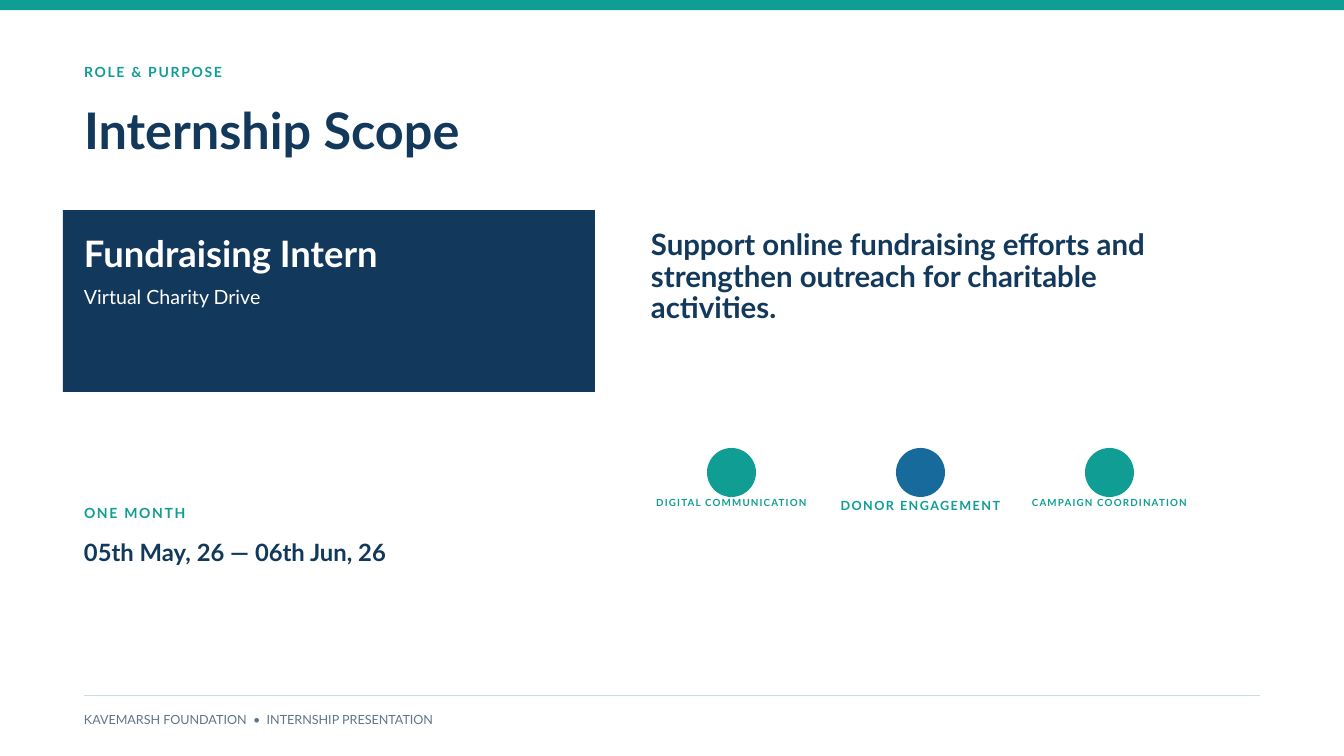
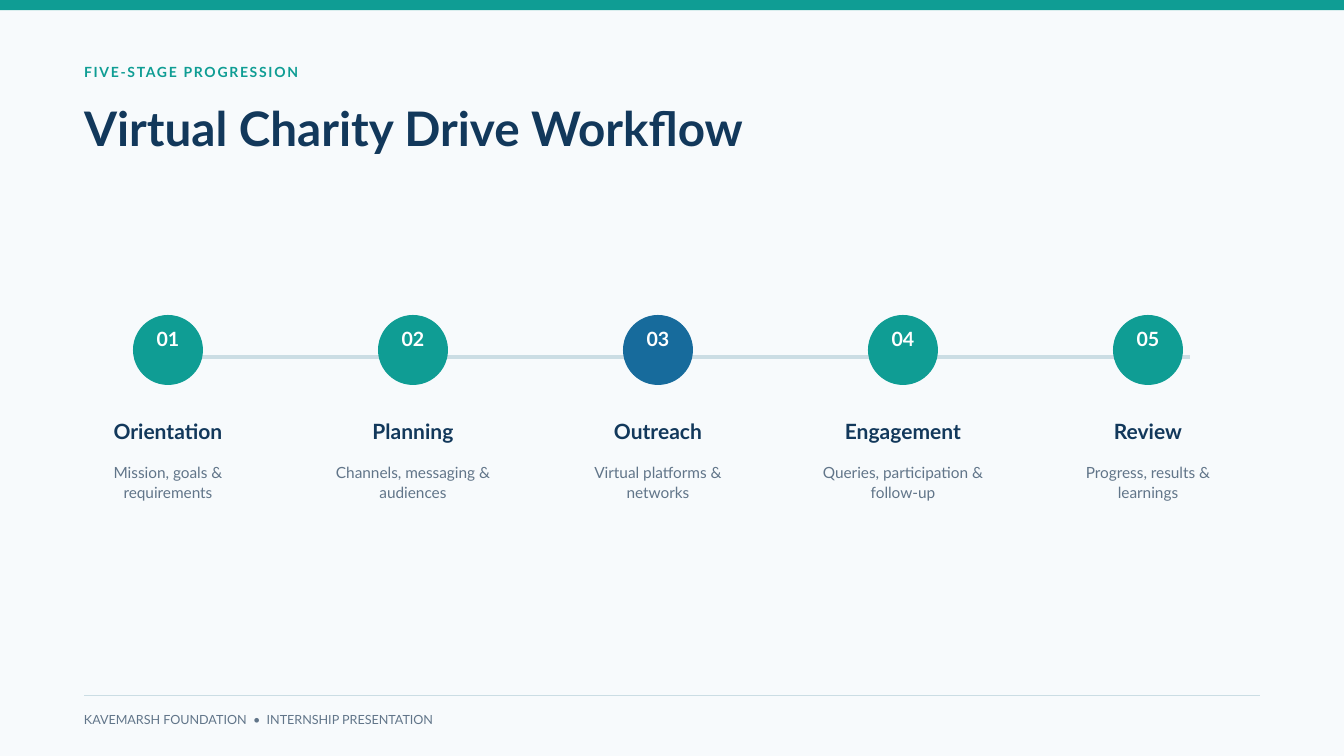
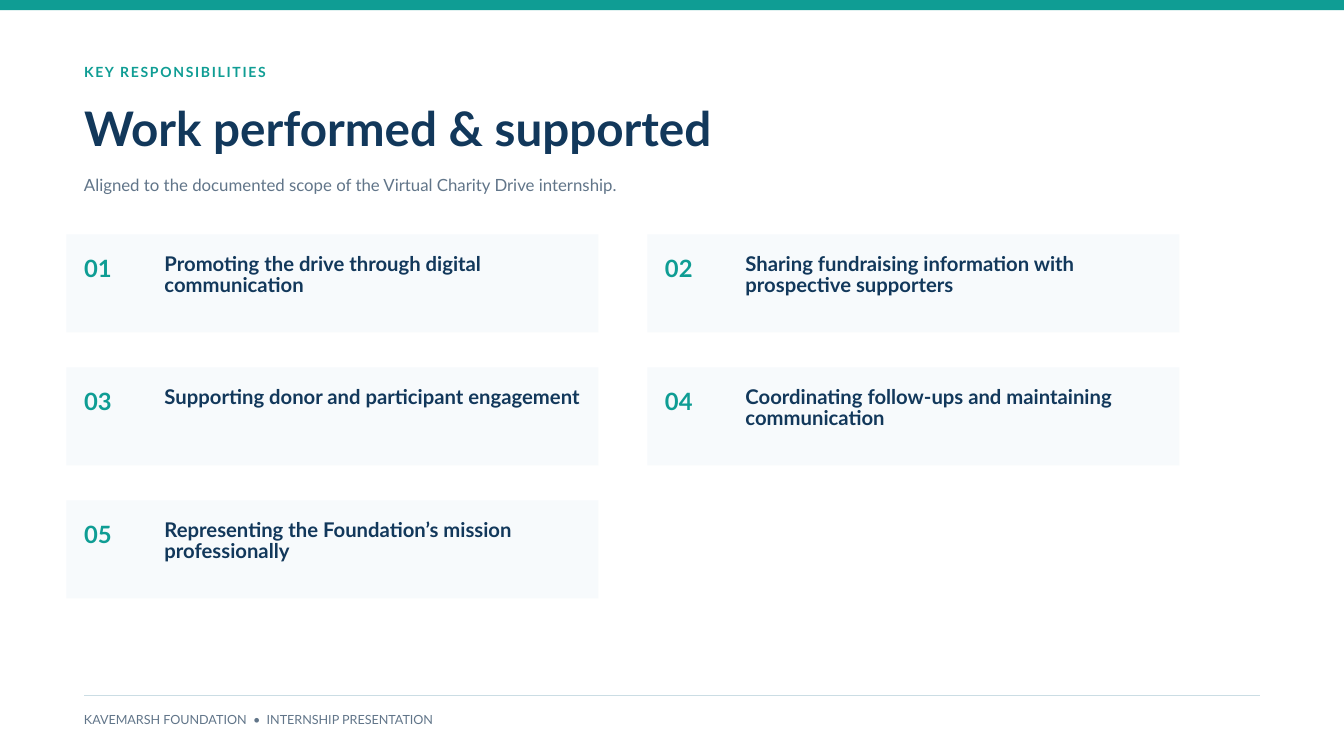
import pptx
import pptx.util
import pptx.dml.color
import pptx.enum.shapes
import pptx.enum.text
import lxml.etree

Pt = pptx.util.Pt
RGBColor = pptx.dml.color.RGBColor
Shape = pptx.enum.shapes.MSO_SHAPE
Align = pptx.enum.text.PP_ALIGN

TEAL = RGBColor(0x0F, 0x9D, 0x94)
NAVY = RGBColor(0x12, 0x38, 0x5B)
BLUE = RGBColor(0x17, 0x6B, 0x9C)
GRAY = RGBColor(0x61, 0x75, 0x89)
RULE = RGBColor(0xCB, 0xDD, 0xE4)
PALE = RGBColor(0xF7, 0xFA, 0xFC)
WHITE = RGBColor(0xFF, 0xFF, 0xFF)

FONT = "Lato"
WIDTH, HEIGHT = 1440, 810
LEFT, RIGHT = 90, 1350
FOOTER = "KAVEMARSH FOUNDATION  •  INTERNSHIP PRESENTATION"

SCOPE = {
    "label": "ROLE & PURPOSE",
    "title": "Internship Scope",
    "role": "Fundraising Intern",
    "drive": "Virtual Charity Drive",
    "goal": "Support online fundraising efforts and strengthen outreach "
            "for charitable activities.",
    "term": "ONE MONTH",
    "dates": "05th May, 26 — 06th Jun, 26",
}
SKILLS = [
    ("DIGITAL COMMUNICATION", TEAL, 10.5, 14.7, 1.3),
    ("DONOR ENGAGEMENT", BLUE, 13.5, 18.9, 1.6),
    ("CAMPAIGN COORDINATION", TEAL, 10.5, 14.7, 1.3),
]
STAGES = [
    ("Orientation", "Mission, goals & requirements", TEAL),
    ("Planning", "Channels, messaging & audiences", TEAL),
    ("Outreach", "Virtual platforms & networks", BLUE),
    ("Engagement", "Queries, participation & follow-up", TEAL),
    ("Review", "Progress, results & learnings", TEAL),
]
ALIGNED = "Aligned to the documented scope of the Virtual Charity Drive internship."
TASKS = [
    "Promoting the drive through digital communication",
    "Sharing fundraising information with prospective supporters",
    "Supporting donor and participant engagement",
    "Coordinating follow-ups and maintaining communication",
    "Representing the Foundation’s mission professionally",
]


def write(box, text, size, color, lead, bold=False, align=Align.LEFT, track=0):
    frame = box.text_frame
    frame.word_wrap = True
    frame.auto_size = pptx.enum.text.MSO_AUTO_SIZE.NONE
    frame.vertical_anchor = pptx.enum.text.MSO_ANCHOR.TOP
    frame.margin_left = frame.margin_right = 0
    frame.margin_top = frame.margin_bottom = 0
    frame.text = text
    para = frame.paragraphs[0]
    para.alignment = align
    para.line_spacing = Pt(lead)
    para.space_before = Pt(0)
    font = para.font
    font.name, font.size, font.bold = FONT, Pt(size), bold
    font.color.rgb = color
    if track:
        props = para._p.get_or_add_pPr().get_or_add_defRPr()
        props.set("spc", str(round(track * 100)))


def label(slide, text, x, y, w, h, *style, **more):
    box = slide.shapes.add_textbox(Pt(x), Pt(y), Pt(w), Pt(h))
    write(box, text, *style, **more)


def block(slide, kind, x, y, w, h, color):
    shape = slide.shapes.add_shape(kind, Pt(x), Pt(y), Pt(w), Pt(h))
    shape.shadow.inherit = False
    shape.fill.solid()
    shape.fill.fore_color.rgb = color
    shape.line.fill.background()


def rule(slide, start, end, y, weight):
    line = slide.shapes.add_connector(
        pptx.enum.shapes.MSO_CONNECTOR.STRAIGHT, Pt(start), Pt(y), Pt(end), Pt(y))
    line.line.color.rgb = RULE
    line.line.width = Pt(weight)
    lxml.etree.SubElement(line._element.spPr, pptx.oxml.ns.qn("a:effectLst"))


def kicker(slide, text, y):
    label(slide, text, LEFT, y, 450, 20, 15, TEAL, 21, bold=True, track=1.8)


def start(deck, tag, title, back=WHITE, size=51, lead=55.1):
    slide = deck.slides.add_slide(deck.slide_layouts[5])
    slide.background.fill.solid()
    slide.background.fill.fore_color.rgb = back
    block(slide, Shape.RECTANGLE, 0, 0, WIDTH, 10.8, TEAL)
    kicker(slide, tag, 65.6)
    head = slide.shapes.title
    head.left, head.top, head.width, head.height = Pt(LEFT), Pt(112.5), Pt(975), Pt(60)
    write(head, title, size, NAVY, lead, bold=True)
    rule(slide, LEFT, RIGHT, 745.5, 1.5)
    label(slide, FOOTER, LEFT, 761.25, RIGHT - LEFT, 18, 13.5, GRAY, 18.2)
    return slide


def scope(deck):
    slide = start(deck, SCOPE["label"], SCOPE["title"], size=54, lead=58.3)
    block(slide, Shape.RECTANGLE, 67.5, 225, 570, 195, NAVY)
    label(slide, SCOPE["role"], LEFT, 240, 540, 50, 39, WHITE, 54.6, bold=True)
    label(slide, SCOPE["drive"], LEFT, 301, 540, 28, 21, WHITE, 29.4)
    label(slide, SCOPE["goal"], 697.5, 246, 562.5, 103, 31.5, NAVY, 34, bold=True)
    kicker(slide, SCOPE["term"], 538)
    label(slide, SCOPE["dates"], LEFT, 579.5, 540, 28, 25.5, NAVY, 27.5, bold=True)
    wide, dot = 172.5, 52.5
    for i, (name, color, size, lead, track) in enumerate(SKILLS):
        x = 697.5 + 202.5 * i
        block(slide, Shape.OVAL, x + (wide - dot) / 2, 480, dot, dot, color)
        label(slide, name, x, 530.6, wide, 18, size, TEAL, lead,
              bold=True, align=Align.CENTER, track=track)


def flow(deck):
    slide = start(deck, "FIVE-STAGE PROGRESSION", "Virtual Charity Drive Workflow", PALE)
    rule(slide, 165, 1275, 382.5, 4.5)
    wide, dot = 180, 75
    for i, (name, note, color) in enumerate(STAGES):
        x = LEFT + 262.5 * i
        mid = x + (wide - dot) / 2
        block(slide, Shape.OVAL, mid, 337.5, dot, dot, color)
        label(slide, f"{i + 1:02}", mid, 345.6, dot, 28, 21, WHITE, 29.4,
              bold=True, align=Align.CENTER)
        label(slide, name, x, 451.5, wide, 26, 22.5, NAVY, 24.3,
              bold=True, align=Align.CENTER)
        label(slide, note, x, 493.2, wide, 43, 16.5, GRAY, 22.3, align=Align.CENTER)


def tasks(deck):
    slide = start(deck, "KEY RESPONSIBILITIES", "Work performed & supported")
    label(slide, ALIGNED, LEFT, 185, 750, 24, 18, GRAY, 24.3)
    for i, task in enumerate(TASKS):
        row, col = divmod(i, 2)
        x, y = 71.25 + 622.5 * col, 251.25 + 142.5 * row
        block(slide, Shape.RECTANGLE, x, y, 570, 105, PALE)
        label(slide, f"{i + 1:02}", x + 18.75, y + 16, 67.5, 33, 25.5, TEAL, 35.7, bold=True)
        label(slide, task, x + 105, y + 20, 457.5, 48, 21.75, NAVY, 23.5, bold=True)


def main():
    deck = pptx.Presentation()
    deck.slide_width, deck.slide_height = Pt(WIDTH), Pt(HEIGHT)
    for build in (scope, flow, tasks):
        build(deck)
    deck.save("out.pptx")


if __name__ == "__main__":
    main()
